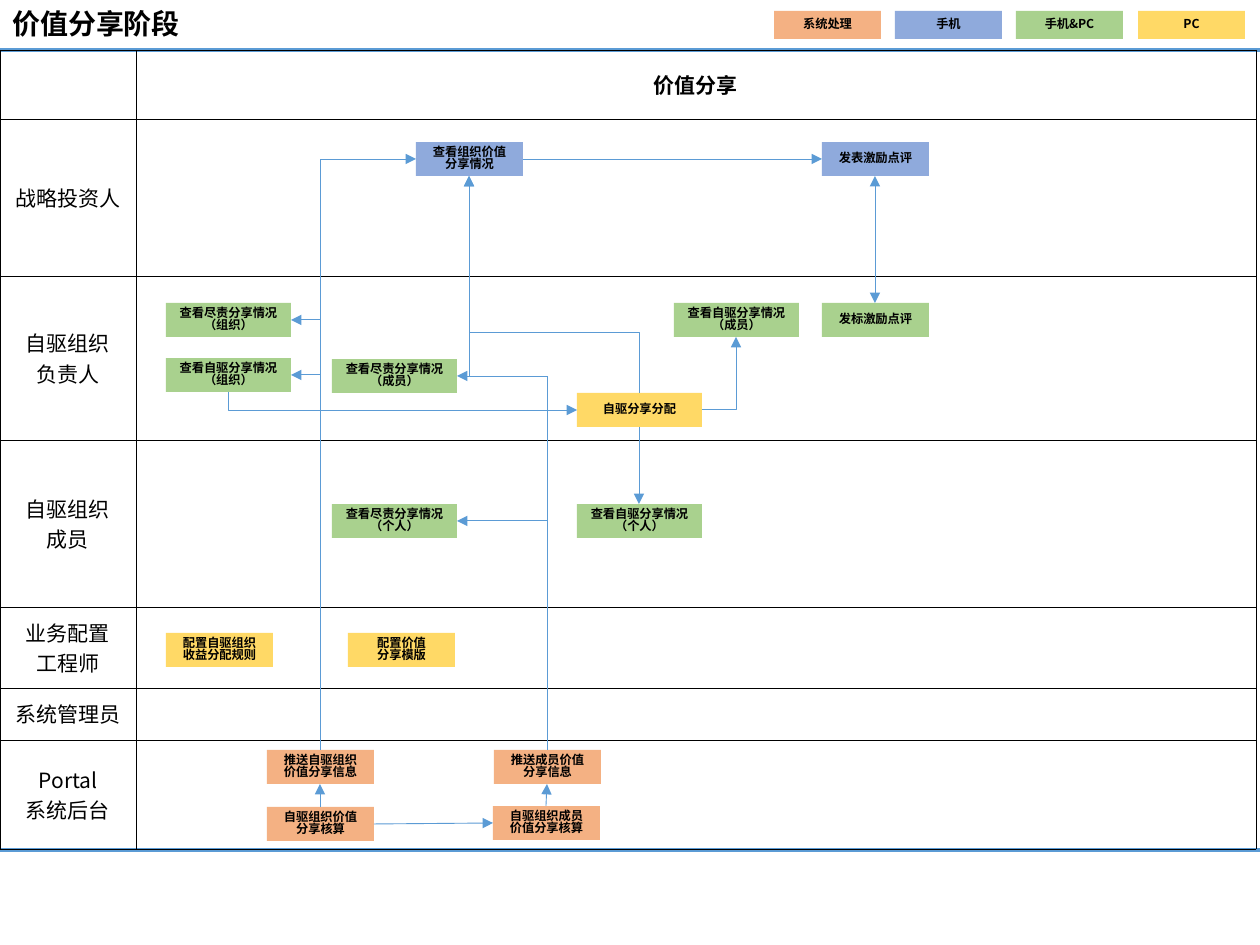
from lxml.etree import SubElement
from pptx import Presentation
from pptx.dml.color import RGBColor
from pptx.enum.shapes import MSO_CONNECTOR, MSO_SHAPE
from pptx.enum.text import MSO_ANCHOR, PP_ALIGN
from pptx.oxml.ns import qn
from pptx.util import Pt

EMU_PER_PIXEL = 914400 / 126
FONT = "Noto Sans CJK SC"
COLORS = {
    "system": "F4B183",
    "phone": "8FAADC",
    "both": "A9D18E",
    "pc": "FFD966",
    "flow": "5B9BD5",
    "black": "000000",
}
NARROW, WIDE, STEP_HEIGHT = 107, 125, 34

LEGEND = [("system", "系统处理"), ("phone", "手机"), ("both", "手机&PC"), ("pc", "PC")]

# Lane label and height
LANES = [
    ("", 69),
    ("战略投资人", 157),
    ("自驱组织\n负责人", 164),
    ("自驱组织\n成员", 167),
    ("业务配置\n工程师", 81),
    ("系统管理员", 52),
    ("Portal\n系统后台", 109),
]

# Step: left, top, width, colour, text
STEPS = {
    "org_view": (416, 142, NARROW, "phone", "查看组织价值\n分享情况"),
    "investor_comment": (822, 142, NARROW, "phone", "发表激励点评"),
    "duty_org": (166, 303, WIDE, "both", "查看尽责分享情况（组织）"),
    "drive_org": (166, 358, WIDE, "both", "查看自驱分享情况\n（组织）"),
    "duty_member": (332, 359, WIDE, "both", "查看尽责分享情况（成员）"),
    "allocation": (577, 393, WIDE, "pc", "自驱分享分配"),
    "drive_member": (674, 303, WIDE, "both", "查看自驱分享情况\n（成员）"),
    "leader_comment": (822, 303, NARROW, "both", "发标激励点评"),
    "duty_person": (332, 504, WIDE, "both", "查看尽责分享情况\n（个人）"),
    "drive_person": (577, 504, WIDE, "both", "查看自驱分享情况\n（个人）"),
    "rule_setup": (166, 633, NARROW, "pc", "配置自驱组织\n收益分配规则"),
    "template_setup": (348, 633, NARROW, "pc", "配置价值\n分享模版"),
    "org_push": (267, 750, NARROW, "system", "推送自驱组织价值分享信息"),
    "member_push": (494, 750, NARROW, "system", "推送成员价值\n分享信息"),
    "org_calc": (267, 807, NARROW, "system", "自驱组织价值\n分享核算"),
    "member_calc": (493, 806, NARROW, "system", "自驱组织成员价值分享核算"),
}

# Flow: start step, start side, end step, end side, format
FLOWS = [
    ("org_calc", "top", "org_push", "bottom", {}),
    ("member_calc", "top", "member_push", "bottom", {}),
    ("org_calc", "right", "member_calc", "left", {}),
    ("org_view", "right", "investor_comment", "left", {}),
    ("leader_comment", "top", "investor_comment", "bottom", {"both_ways": True}),
    ("allocation", "bottom", "drive_person", "top", {}),
    ("org_push", "top", "drive_org", "right", {"bends": 1}),
    ("org_push", "top", "duty_org", "right", {"bends": 1}),
    ("org_push", "top", "org_view", "left", {"bends": 1}),
    ("member_push", "top", "duty_member", "right", {"bends": 1}),
    ("member_push", "top", "duty_person", "right", {"bends": 1}),
    ("drive_org", "bottom", "allocation", "left", {"bends": 1}),
    ("allocation", "right", "drive_member", "bottom", {"bends": 1, "upright": False}),
    ("member_push", "top", "org_view", "bottom", {"bends": 2, "turn": 0.65}),
    ("allocation", "top", "org_view", "bottom", {"bends": 2, "turn": 0.28}),
]


def px(pixels):
    """Turn pixels into EMU."""
    return round(pixels * EMU_PER_PIXEL)


def color(key):
    """Return a palette colour."""
    return RGBColor.from_string(COLORS[key])


def write_text(frame, text, size=7, bold=False, align=PP_ALIGN.CENTER, spacing=None):
    """Fill a text frame, one paragraph a line."""
    frame.word_wrap = True
    for index, line in enumerate(text.split("\n")):
        paragraph = frame.add_paragraph() if index else frame.paragraphs[0]
        paragraph.alignment = align
        paragraph.line_spacing = spacing
        if not line:
            paragraph._p.get_or_add_endParaRPr().set("sz", str(size * 100))
            continue
        run = paragraph.add_run()
        run.text = line
        run.font.size = Pt(size)
        run.font.bold = bold
        run.font.name = FONT
        run.font.color.rgb = color("black")
        SubElement(run.font._element, qn("a:ea")).set("typeface", FONT)


def add_title(slide, text):
    """Add the slide heading."""
    heading = slide.shapes.add_textbox(px(0), px(1), px(263), px(49))
    heading.text_frame.vertical_anchor = MSO_ANCHOR.MIDDLE
    write_text(heading.text_frame, text, size=16, bold=True,
               align=PP_ALIGN.LEFT, spacing=0.9)


def add_box(slide, left, top, width, height, fill, text):
    """Add a filled rectangle with centred bold text."""
    box = slide.shapes.add_shape(
        MSO_SHAPE.RECTANGLE, px(left), px(top), px(width), px(height))
    box.shadow.inherit = False
    box.fill.solid()
    box.fill.fore_color.rgb = color(fill)
    box.line.fill.background()
    box.text_frame.vertical_anchor = MSO_ANCHOR.MIDDLE
    write_text(box.text_frame, text, bold=True, spacing=0.8)


def set_borders(cell, border, points):
    """Draw all four borders of a cell."""
    properties = cell._tc.get_or_add_tcPr()
    for side in ("lnL", "lnR", "lnT", "lnB"):
        edge = SubElement(properties, qn(f"a:{side}"), w=str(Pt(points)))
        paint = SubElement(edge, qn("a:solidFill"))
        SubElement(paint, qn("a:srgbClr"), val=COLORS[border])


def add_grid(slide, left, top, widths, heights, border, points):
    """Add an unfilled table with uniform borders."""
    grid = slide.shapes.add_table(
        len(heights), len(widths), px(left), px(top),
        px(sum(widths)), px(sum(heights))).table
    grid.first_row = grid.horz_banding = False
    for column, width in zip(grid.columns, widths):
        column.width = px(width)
    for row, height in zip(grid.rows, heights):
        row.height = px(height)
    for cell in grid.iter_cells():
        set_borders(cell, border, points)
        cell.fill.background()
        cell.vertical_anchor = MSO_ANCHOR.MIDDLE
    return grid


def add_lanes(slide):
    """Add the swimlane table."""
    heights = [height for _, height in LANES]
    lanes = add_grid(slide, 0, 50, [136, 1120], heights, "black", 0.25)
    for row, (label, _) in enumerate(LANES):
        write_text(lanes.cell(row, 0).text_frame, label, size=12)
        stage = "" if row else "价值分享"
        write_text(lanes.cell(row, 1).text_frame, stage, size=12, bold=True)


def anchor(step, side):
    """Return the middle of one side of a step."""
    left, top, width = STEPS[step][:3]
    return {
        "top": (left + width // 2, top),
        "bottom": (left + width // 2, top + STEP_HEIGHT),
        "left": (left, top + STEP_HEIGHT // 2),
        "right": (left + width, top + STEP_HEIGHT // 2),
    }[side]


def add_flow(slide, start, end, bends=0, turn=None, upright=True, both_ways=False):
    """Add an arrow; upright elbows leave vertically, as a frame turned by 270 degrees."""
    (x1, y1), (x2, y2) = start, end
    turned = bends and upright
    if turned:
        across, down = y1 - y2, x2 - x1
        center_x, center_y = (x1 + x2) / 2, (y1 + y2) / 2
        x1, x2 = center_x - across / 2, center_x + across / 2
        y1, y2 = center_y - down / 2, center_y + down / 2
    kind = MSO_CONNECTOR.ELBOW if bends else MSO_CONNECTOR.STRAIGHT
    flow = slide.shapes.add_connector(kind, px(x1), px(y1), px(x2), px(y2))
    flow.line.color.rgb = color("flow")
    flow.line.width = Pt(0.5)
    properties = flow._element.spPr
    if turned:
        properties.find(qn("a:xfrm")).set("rot", str(270 * 60000))
    geometry = properties.find(qn("a:prstGeom"))
    if bends == 1:
        geometry.set("prst", "bentConnector2")
    if turn is not None:
        guides = geometry.find(qn("a:avLst"))
        if guides is None:
            guides = SubElement(geometry, qn("a:avLst"))
        SubElement(guides, qn("a:gd"), name="adj1", fmla=f"val {round(turn * 100000)}")
    outline = properties.find(qn("a:ln"))
    for tip in ("headEnd", "tailEnd") if both_ways else ("tailEnd",):
        SubElement(outline, qn(f"a:{tip}"), type="triangle")
    SubElement(properties, qn("a:effectLst"))


def main():
    """Build the value sharing swimlane slide."""
    deck = Presentation()
    deck.slide_width, deck.slide_height = px(1260), px(945)
    slide = deck.slides.add_slide(deck.slide_layouts[6])
    frame = add_grid(slide, -2, 50, [1264], [800], "flow", 2.25)
    write_text(frame.cell(0, 0).text_frame, "", size=12)
    add_title(slide, "价值分享阶段")
    add_lanes(slide)
    for index, (device, label) in enumerate(LEGEND):
        add_box(slide, 774 + index * 364 // 3, 11, NARROW, 28, device, label)
    for left, top, width, device, text in STEPS.values():
        add_box(slide, left, top, width, STEP_HEIGHT, device, text)
    for source, exit_side, target, entry_side, style in FLOWS:
        add_flow(slide, anchor(source, exit_side), anchor(target, entry_side), **style)
    deck.save("out.pptx")


main()
